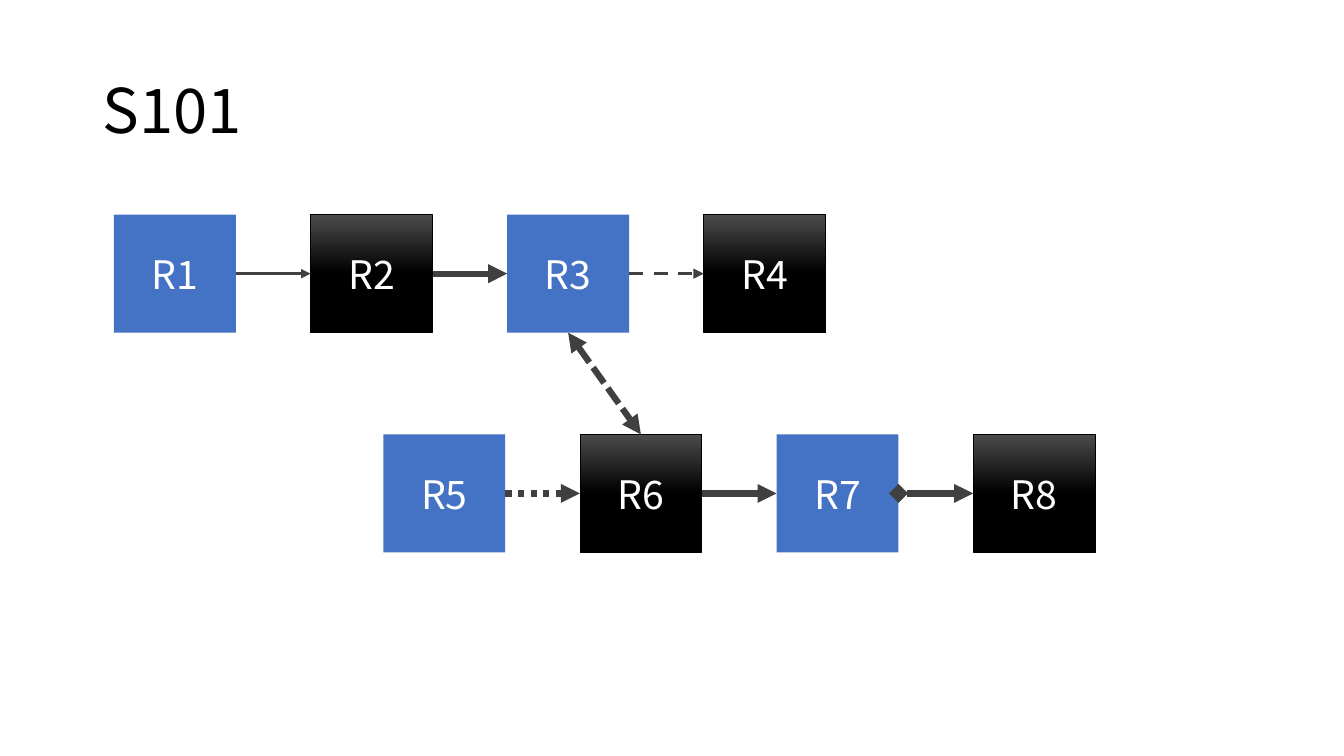
from copy import deepcopy
from typing import NamedTuple, Optional

from lxml import etree
from pptx import Presentation, util
from pptx.dml.color import RGBColor
from pptx.enum import dml, shapes, text
from pptx.oxml import ns

FONT = "Noto Sans CJK KR"
WHITE, BLACK, BLUE, GREY = "FFFFFF", "000000", "4472C4", "404040"
GRADIENT = [(0, "4B4B4B"), (0.5, BLACK), (1, BLACK)]

# Grid in inches: origin, pitch and size of the boxes
LEFT, TOP = 1.13, 2.13
COLUMN, ROW = 1.95, 2.18
BOX_WIDTH, BOX_HEIGHT = 1.21, 1.17
LOWER_SHIFT = 1.37  # columns by which the lower row is moved right
BOXES_PER_ROW = 4

BOTTOM, RIGHT, TOP_SIDE, LEFT_SIDE = 2, 3, 0, 1


class Box(NamedTuple):
    label: str
    column: float
    row: int
    dark: bool


class Link(NamedTuple):
    start: str
    end: str
    width: float = 4.5
    dash: Optional[dml.MSO_LINE] = None
    head: Optional[str] = None
    sides: tuple[int, int] = (RIGHT, LEFT_SIDE)


BOXES = [
    Box(f"R{row * BOXES_PER_ROW + index + 1}", index + row * LOWER_SHIFT, row, index % 2 == 1)
    for row in range(2)
    for index in range(BOXES_PER_ROW)
]
LINKS = [
    Link("R1", "R2", width=2.25),
    Link("R2", "R3"),
    Link("R3", "R4", width=2.5, dash=dml.MSO_LINE.DASH),
    Link("R6", "R7"),
    Link("R5", "R6", dash=dml.MSO_LINE.ROUND_DOT),
    Link("R7", "R8", head="diamond"),
    Link("R3", "R6", dash=dml.MSO_LINE.SQUARE_DOT, head="triangle", sides=(BOTTOM, TOP_SIDE)),
]


def rgb(color: str) -> RGBColor:
    return RGBColor.from_string(color)


def write(frame, words: str, *, size: float, color: str,
          align=text.PP_ALIGN.LEFT, spacing: float = 1.0) -> None:
    frame.word_wrap = True
    frame.vertical_anchor = text.MSO_ANCHOR.MIDDLE
    paragraph = frame.paragraphs[0]
    paragraph.alignment = align
    paragraph.line_spacing = spacing
    run = paragraph.add_run()
    run.text = words
    run.font.name = FONT
    run.font.size = util.Pt(size)
    run.font.color.rgb = rgb(color)


def fill_gradient(shape) -> None:
    shape.fill.gradient()
    shape.fill.gradient_angle = 270
    stop_list = shape._element.spPr.find(".//" + ns.qn("a:gsLst"))
    stop_list.append(deepcopy(stop_list[-1]))
    for stop, (position, color) in zip(shape.fill.gradient_stops, GRADIENT):
        stop.position = position
        stop.color.rgb = rgb(color)


def draw_box(slide, box: Box):
    shape = slide.shapes.add_shape(
        shapes.MSO_SHAPE.RECTANGLE,
        util.Inches(LEFT + box.column * COLUMN), util.Inches(TOP + box.row * ROW),
        util.Inches(BOX_WIDTH), util.Inches(BOX_HEIGHT))
    shape.shadow.inherit = False
    if box.dark:
        fill_gradient(shape)
        shape.line.color.rgb = rgb(BLACK)
        shape.line.width = util.Pt(0.5)
    else:
        shape.fill.solid()
        shape.fill.fore_color.rgb = rgb(BLUE)
        shape.line.fill.background()
    write(shape.text_frame, box.label, size=28, color=WHITE, align=text.PP_ALIGN.CENTER)
    return shape


def draw_link(slide, link: Link, drawn: dict) -> None:
    connector = slide.shapes.add_connector(shapes.MSO_CONNECTOR.STRAIGHT, 0, 0, 0, 0)
    connector.begin_connect(drawn[link.start], link.sides[0])
    connector.end_connect(drawn[link.end], link.sides[1])
    connector.line.color.rgb = rgb(GREY)
    connector.line.width = util.Pt(link.width)
    if link.dash is not None:
        connector.line.dash_style = link.dash

    # Arrowheads, and no shadow
    properties = connector._element.spPr
    outline = properties.find(ns.qn("a:ln"))
    if link.head:
        etree.SubElement(outline, ns.qn("a:headEnd"), type=link.head)
    etree.SubElement(outline, ns.qn("a:tailEnd"), type="triangle")
    etree.SubElement(properties, ns.qn("a:effectLst"))


def main() -> None:
    presentation = Presentation()
    presentation.slide_width = util.Inches(13.33)
    presentation.slide_height = util.Inches(7.5)
    slide = presentation.slides.add_slide(presentation.slide_layouts[6])

    # Title
    title = slide.shapes.add_textbox(
        util.Inches(0.92), util.Inches(0.4), util.Inches(11.5), util.Inches(1.45))
    write(title.text_frame, "S101", size=44, color=BLACK, spacing=0.9)

    # Boxes, then the arrows between them
    drawn = {box.label: draw_box(slide, box) for box in BOXES}
    for link in LINKS:
        draw_link(slide, link, drawn)

    presentation.save("out.pptx")


if __name__ == "__main__":
    main()
